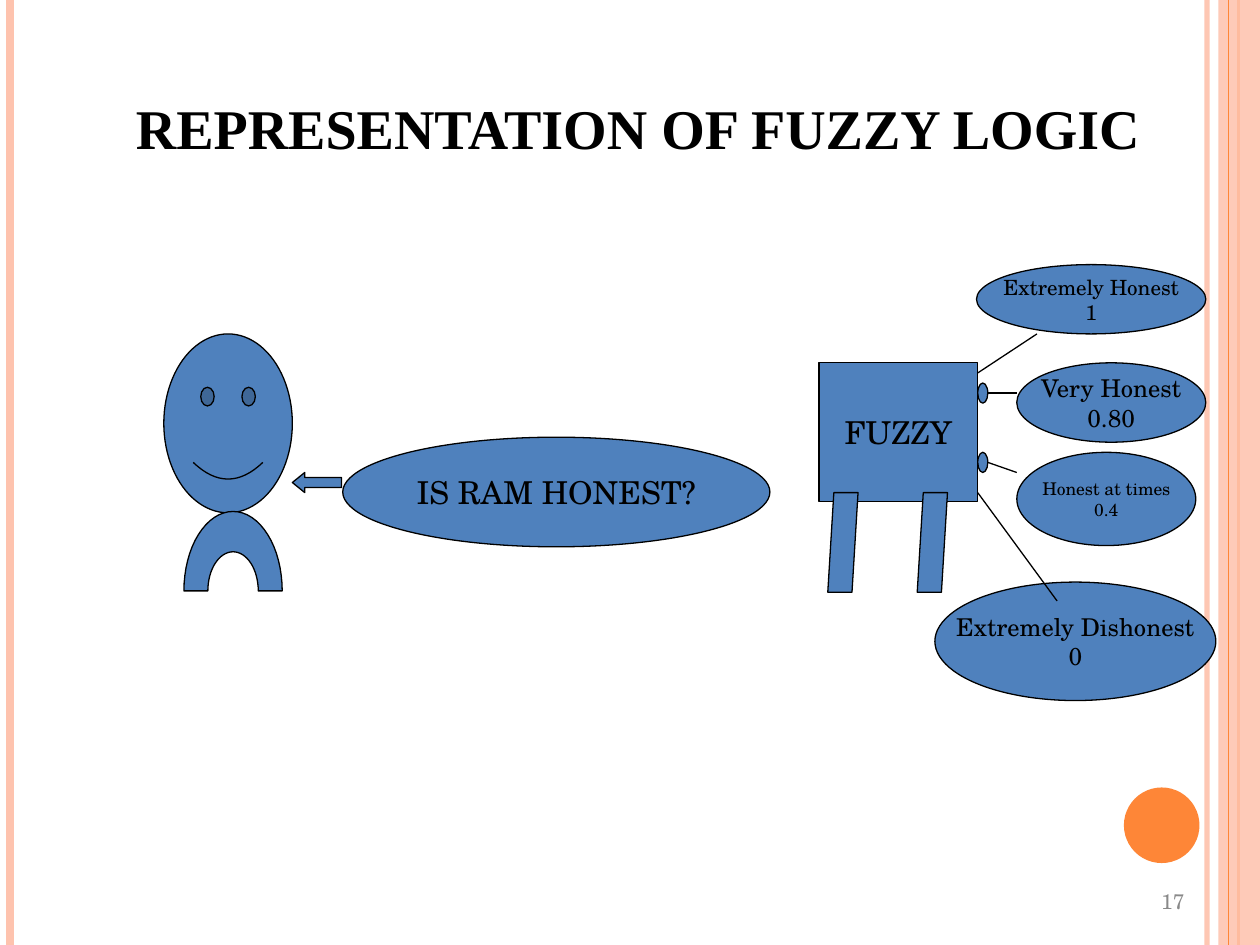
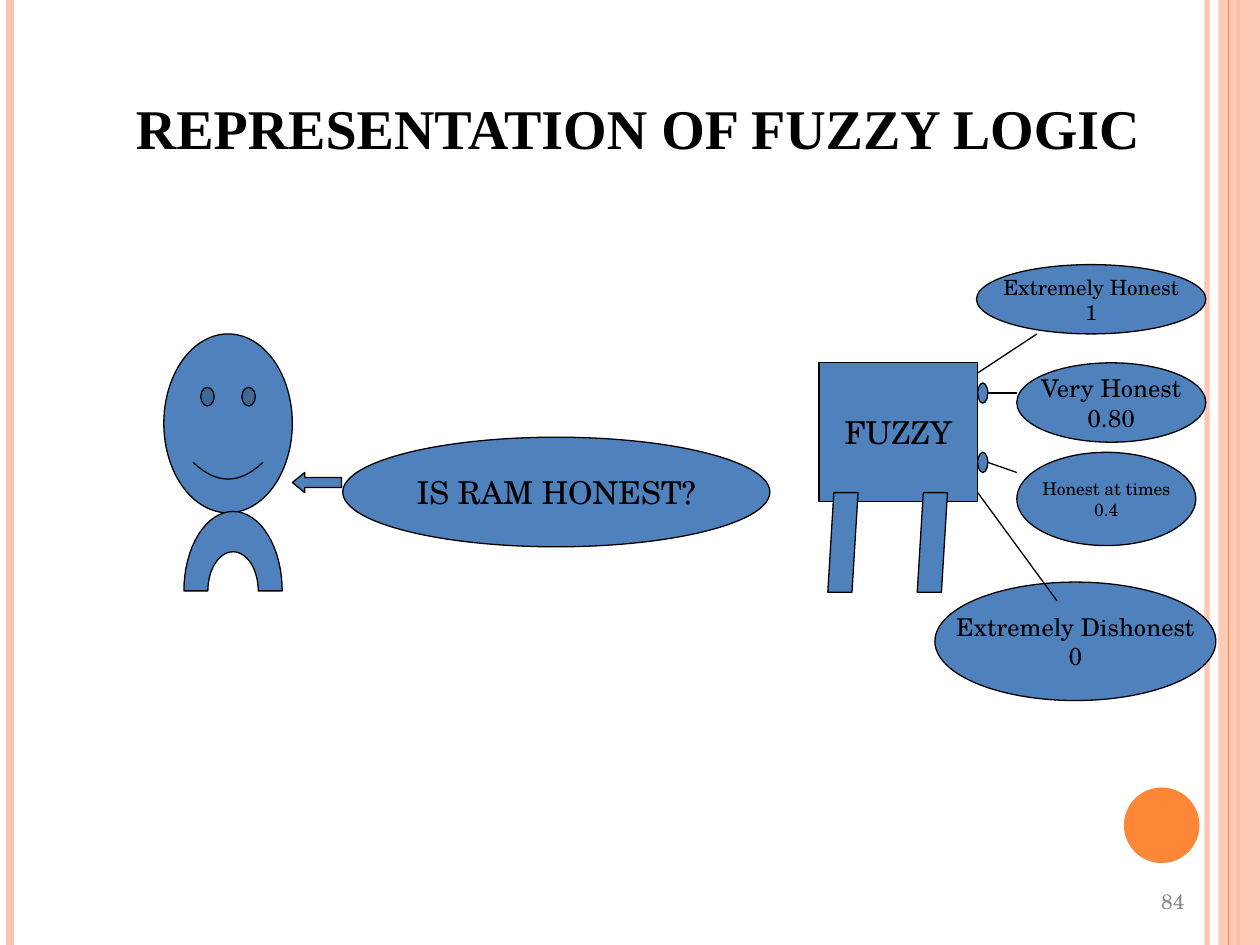
import dataclasses
import math

import lxml.etree
import pptx
import pptx.dml.color
import pptx.enum.shapes
import pptx.enum.text
import pptx.oxml.ns
import pptx.util

EMU_PER_PX = 9144
SLIDE_SIZE = (1000, 750)
SHAPES = pptx.enum.shapes.MSO_SHAPE
ALIGN = pptx.enum.text.PP_ALIGN


@dataclasses.dataclass(frozen=True)
class Theme:
    """Colours, fonts, type sizes and line widths of the deck."""

    ink: str = "000000"
    figure: str = "4F81BD"
    accent: str = "FE8637"
    accent_light: str = "FEC3AE"
    muted: str = "898989"
    title_font: str = "Times New Roman"
    body_font: str = "TeX Gyre Schola"
    title_size: int = 32
    large: int = 18
    medium: int = 14
    small: int = 12
    tiny: int = 10
    outline: float = 0.75


THEME = Theme()

ANSWERS = [
    ("Very Honest\n0.80", (807, 288, 150, 63), THEME.medium),
    ("Honest at times\n0.4", (807, 359, 142, 74), THEME.tiny),
    ("Extremely Honest\n1", (775, 210, 182, 55), THEME.small),
    ("Extremely Dishonest\n0", (742, 462, 223, 94), THEME.medium),
]
ANSWER_LINES = [
    ((784, 312), (807, 312)),
    ((784, 367), (807, 375)),
    ((776, 296), (823, 265)),
    ((776, 391), (839, 477)),
]


def emu(*lengths):
    """Turn px lengths into a list of EMU."""
    return [pptx.util.Emu(round(length * EMU_PER_PX)) for length in lengths]


def rgb(colour):
    """Return the colour object for a hex string."""
    return pptx.dml.color.RGBColor.from_string(colour)


def set_opacity(shape, percent):
    """Make the colours of a shape partly transparent."""
    qn = pptx.oxml.ns.qn
    for colour in shape._element.spPr.iter(qn("a:srgbClr")):
        alpha = lxml.etree.SubElement(colour, qn("a:alpha"))
        alpha.set("val", str(percent * 1000))


def format_text(text_frame, size, colour, font, align, bold=False):
    """Format every run and centre the text vertically."""
    text_frame.vertical_anchor = pptx.enum.text.MSO_ANCHOR.MIDDLE
    for paragraph in text_frame.paragraphs:
        paragraph.alignment = align
        for run in paragraph.runs:
            run.font.name = font
            run.font.size = pptx.util.Pt(size)
            run.font.bold = bold
            run.font.color.rgb = rgb(colour)


def paint(shape, fill, outline):
    """Give a shape a flat fill and an optional thin outline."""
    shape.shadow.inherit = False
    shape.fill.solid()
    shape.fill.fore_color.rgb = rgb(fill)
    if outline:
        shape.line.color.rgb = rgb(outline)
        shape.line.width = pptx.util.Pt(THEME.outline)
    else:
        shape.line.fill.background()


def add_figure(slide, kind, box, fill=THEME.figure, outline=THEME.ink):
    """Add a preset shape in the figure style."""
    shape = slide.shapes.add_shape(kind, *emu(*box))
    paint(shape, fill, outline)
    return shape


def add_label(slide, kind, box, text, size):
    """Add a figure with centred, unwrapped text."""
    shape = add_figure(slide, kind, box)
    shape.text_frame.text = text
    shape.text_frame.word_wrap = False
    format_text(shape.text_frame, size, THEME.ink, THEME.body_font, ALIGN.CENTER)


def add_line(slide, start, end, colour=THEME.ink, width=THEME.outline):
    """Add a straight line without a shadow."""
    line = slide.shapes.add_connector(
        pptx.enum.shapes.MSO_CONNECTOR.STRAIGHT, *emu(*start, *end))
    line.line.color.rgb = rgb(colour)
    line.line.width = pptx.util.Pt(width)
    lxml.etree.SubElement(line._element.spPr, pptx.oxml.ns.qn("a:effectLst"))
    return line


def add_rule(slide, x, colour, width):
    """Add a vertical rule over the full slide height."""
    return add_line(slide, (x, 0), (x, SLIDE_SIZE[1]), colour, width)


def half_ellipse(centre_x, base_y, radius_x, radius_y, steps=32):
    """Return EMU points of an upper half ellipse from left to right."""
    angles = [math.pi * (1 - step / steps) for step in range(steps + 1)]
    return [emu(centre_x + radius_x * math.cos(angle),
                base_y - radius_y * math.sin(angle)) for angle in angles]


def add_arch(slide, centre_x, base_y, outer, inner):
    """Add an arch between two half ellipses."""
    points = half_ellipse(centre_x, base_y, *outer)
    points += reversed(half_ellipse(centre_x, base_y, *inner))
    builder = slide.shapes.build_freeform(*points[0])
    builder.add_line_segments(points[1:], close=True)
    paint(builder.convert_to_shape(), THEME.figure, THEME.ink)


def add_frame(slide):
    """Add the side rules, right band and disc shared by the slides."""
    set_opacity(add_rule(slide, 958, THEME.accent_light, 3), 93)
    add_rule(slide, 8, THEME.accent_light, 4.5)
    add_rule(slide, 983, THEME.accent, 1.5)
    band = add_figure(slide, SHAPES.RECTANGLE, (967, 0, 33, 750),
                      THEME.accent_light, None)
    set_opacity(band, 87)
    add_rule(slide, 975, THEME.accent, 0.75)
    add_figure(slide, SHAPES.OVAL, (892, 625, 60, 60), THEME.accent, None)


def set_title(slide, text):
    """Place and format the slide title."""
    title = slide.shapes.title
    title.left, title.top, title.width, title.height = emu(50, 30, 900, 125)
    frame = title.text_frame
    frame.text = text
    frame.auto_size = pptx.enum.text.MSO_AUTO_SIZE.NONE
    frame.margin_left, frame.margin_top = emu(23, 22)
    format_text(frame, THEME.title_size, THEME.ink, THEME.title_font,
                ALIGN.CENTER, bold=True)


def add_page_number(slide, number):
    """Add the right-aligned page number."""
    box = slide.shapes.add_textbox(*emu(717, 695, 233, 40))
    box.text_frame.text = str(number)
    box.text_frame.word_wrap = True
    format_text(box.text_frame, THEME.small, THEME.muted, THEME.body_font,
                ALIGN.RIGHT)


def add_person(slide):
    """Add the smiling person and the question put to the machine."""
    face = add_figure(slide, SHAPES.SMILEY_FACE, (130, 265, 102, 142))
    face.adjustments[0] = 0.093
    add_arch(slide, 185, 469, outer=(39, 63), inner=(20, 31))
    add_label(slide, SHAPES.OVAL, (272, 347, 339, 87), "IS RAM HONEST?",
              THEME.large)
    arrow = add_figure(slide, SHAPES.LEFT_ARROW, (232, 375, 39, 16))
    arrow.adjustments[1] = 0.62


def add_machine(slide):
    """Add the fuzzy machine with its legs, ports and graded answers."""
    add_label(slide, SHAPES.RECTANGLE, (650, 288, 126, 110), "FUZZY",
              THEME.large)
    for leg_x in (657, 728):
        add_figure(slide, SHAPES.FLOWCHART_DATA, (leg_x, 391, 24, 79))
    for port_y in (304, 359):
        add_figure(slide, SHAPES.OVAL, (776, port_y, 8, 16))
    for text, box, size in ANSWERS:
        add_label(slide, SHAPES.OVAL, box, text, size)
    for start, end in ANSWER_LINES:
        add_line(slide, start, end)


def add_fuzzy_slide(presentation, page_number):
    """Add one slide showing the fuzzy logic drawing."""
    slide = presentation.slides.add_slide(presentation.slide_layouts[5])
    add_frame(slide)
    set_title(slide, "REPRESENTATION OF FUZZY LOGIC")
    add_person(slide)
    add_machine(slide)
    add_page_number(slide, page_number)


def main():
    """Build and save the presentation."""
    presentation = pptx.Presentation()
    presentation.slide_width, presentation.slide_height = emu(*SLIDE_SIZE)
    for page_number in (17, 84):
        add_fuzzy_slide(presentation, page_number)
    presentation.save("out.pptx")


if __name__ == "__main__":
    main()
